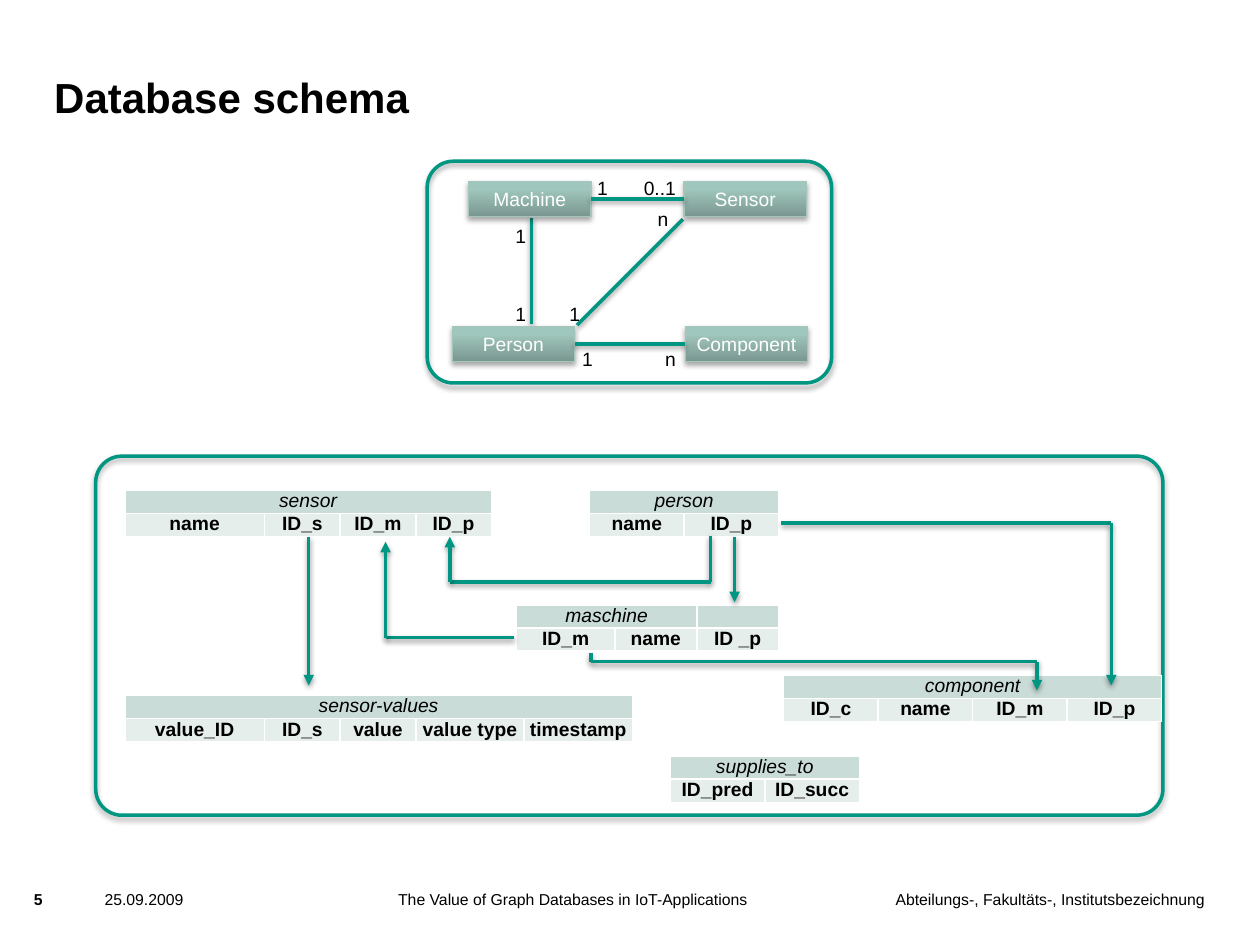
"""Build the database schema slide with an entity diagram and relational tables."""
import pptx
import pptx.dml.color
import pptx.enum.shapes
import pptx.enum.text
import pptx.oxml.ns
import pptx.util
from lxml import etree

Inches, Pt = pptx.util.Inches, pptx.util.Pt
qn = pptx.oxml.ns.qn
SHAPE = pptx.enum.shapes.MSO_SHAPE
STRAIGHT = pptx.enum.shapes.MSO_CONNECTOR.STRAIGHT
ALIGN = pptx.enum.text.PP_ALIGN
ANCHOR = pptx.enum.text.MSO_ANCHOR

COLORS = {
    "accent": "009682", "text": "000000", "white": "FFFFFF", "edge": "A5C5BD",
    "dark": "7A9790", "light": "A0C7BD", "header": "CADCD8", "field": "E6EEEC",
}
TITLE = "Database schema"
FOOTERS = [
    ("Abteilungs-, Fakultäts-, Institutsbezeichnung", 6.57, 2.99, ALIGN.RIGHT, False),
    ("25.09.2009", 0.83, 0.89, ALIGN.LEFT, False),
    ("The Value of Graph Databases in IoT-Applications", 3.16, 3.68, ALIGN.LEFT, False),
    ("5", 0.27, 0.14, ALIGN.LEFT, True),
]
FRAMES = [((3.39, 1.28, 3.21, 1.76), 0.118), ((0.76, 3.62, 8.47, 2.85), 0.073)]
ENTITY_SIZE = (0.97, 0.28)
ENTITIES = {
    "Machine": (3.72, 1.44), "Sensor": (5.43, 1.44),
    "Person": (3.59, 2.59), "Component": (5.44, 2.59),
}
RELATIONS = [("Machine", "Sensor"), ("Person", "Component")]
FREE_RELATIONS = [((4.22, 2.57), (4.22, 1.73)), ((4.58, 2.58), (5.42, 1.74))]
LABEL_SIZE = (0.2, 0.26)
CARDINALITIES = [
    ("1", 4.69, 1.35), ("0..1", 5.06, 1.35), ("1", 4.04, 1.73), ("1", 4.04, 2.35),
    ("1", 4.57, 2.71), ("n", 5.23, 2.71), ("1", 4.47, 2.35), ("n", 5.17, 1.6),
]
ROW_HEIGHT = 0.18
TABLES = [
    ("maschine", 4.1, 4.8, 2, [("ID_m", 0.78), ("name", 0.65), ("ID _p", 0.65)]),
    ("person", 4.68, 3.89, 2, [("name", 0.75), ("ID_p", 0.75)]),
    ("sensor", 0.99, 3.89, 4,
     [("name", 1.11), ("ID_s", 0.6), ("ID_m", 0.6), ("ID_p", 0.6)]),
    ("sensor-values", 0.99, 5.52, 5,
     [("value_ID", 1.11), ("ID_s", 0.6), ("value", 0.6),
      ("value type", 0.86), ("timestamp", 0.86)]),
    ("component", 6.22, 5.36, 4,
     [("ID_c", 0.75), ("name", 0.75), ("ID_m", 0.75), ("ID_p", 0.75)]),
    ("supplies_to", 5.32, 6, 2, [("ID_pred", 0.75), ("ID_succ", 0.75)]),
]
ARROW_ROUTES = [
    [(5.83, 4.26), (5.83, 4.78)],
    [(5.64, 4.25), (5.64, 4.62), (3.57, 4.62), (3.57, 4.26)],
    [(4.08, 5.06), (3.06, 5.06), (3.06, 4.3)],
    [(2.45, 4.26), (2.45, 5.44)],
    [(6.2, 4.15), (8.82, 4.15), (8.82, 5.44)],
    [(4.69, 5.18), (4.69, 5.25), (8.23, 5.25), (8.23, 5.48)],
]


def rgb(name):
    return pptx.dml.color.RGBColor.from_string(COLORS[name])


def inches(*lengths):
    return [Inches(length) for length in lengths]


def write(frame, text, size, color="text", align=ALIGN.CENTER, bold=False, italic=False):
    frame.text = text
    para = frame.paragraphs[0]
    para.alignment = align
    for span in para.runs:
        span.font.name, span.font.size = "Arial", Pt(size)
        span.font.bold, span.font.italic = bold, italic
        span.font.color.rgb = rgb(color)
    if not text:
        etree.SubElement(para._p, qn("a:endParaRPr"), sz=str(size * 100))


def set_margins(frame, margin):
    frame.margin_left = frame.margin_right = Inches(margin)
    frame.margin_top = frame.margin_bottom = Inches(margin)


def add_shadow(shape, distance, opacity):
    effects = etree.SubElement(shape._element.spPr, qn("a:effectLst"))
    shadow = etree.SubElement(
        effects, qn("a:outerShdw"), blurRad=str(Pt(3)), dist=str(Pt(distance)),
        dir="5400000", rotWithShape="0")
    color = etree.SubElement(shadow, qn("a:srgbClr"), val=COLORS["text"])
    etree.SubElement(color, qn("a:alpha"), val=str(opacity * 1000))


def add_line(page, start, end, arrow=False):
    line = page.shapes.add_connector(STRAIGHT, *inches(*start, *end))
    line.line.color.rgb, line.line.width = rgb("accent"), Pt(2)
    if arrow:
        etree.SubElement(line.line._get_or_add_ln(), qn("a:tailEnd"), type="triangle")
    add_shadow(line, 1.6, 38)
    return line


def add_text(page, text, place, size, margin, wrap, **style):
    box = page.shapes.add_textbox(*inches(*place))
    set_margins(box.text_frame, margin)
    box.text_frame.word_wrap = wrap
    write(box.text_frame, text, size, **style)


def add_frame(page, place, rounding):
    frame = page.shapes.add_shape(SHAPE.ROUNDED_RECTANGLE, *inches(*place))
    frame.adjustments[0] = rounding
    frame.fill.background()
    frame.line.color.rgb, frame.line.width = rgb("accent"), Pt(2)
    add_shadow(frame, 1.8, 35)


def add_entity(page, name, position):
    box = page.shapes.add_shape(SHAPE.RECTANGLE, *inches(*position, *ENTITY_SIZE))
    box.fill.gradient()
    box.fill.gradient_angle = 90
    for stop, color, position in zip(box.fill.gradient_stops, ("dark", "light"), (0, 0.8)):
        stop.color.rgb, stop.position = rgb(color), position
    box.line.color.rgb, box.line.width = rgb("edge"), Pt(0.75)
    add_shadow(box, 1.8, 35)
    set_margins(box.text_frame, 0.05)
    box.text_frame.vertical_anchor = ANCHOR.MIDDLE
    write(box.text_frame, name, 11, color="white")
    return box


def add_schema_table(page, name, left, top, header_span, fields):
    width = sum(width for _, width in fields)
    table = page.shapes.add_table(
        2, len(fields), *inches(left, top, width, 2 * ROW_HEIGHT)).table
    table.first_row = table.horz_banding = False
    for row in table.rows:
        row.height = Inches(ROW_HEIGHT)
    for index, (field, width) in enumerate(fields):
        table.columns[index].width = Inches(width)
        for row, text in enumerate((name if index == 0 else "", field)):
            cell = table.cell(row, index)
            set_margins(cell, 0)
            cell.fill.solid()
            cell.fill.fore_color.rgb = rgb(("header", "field")[row])
            write(cell.text_frame, text, 11, bold=row == 1, italic=row == 0)
    table.cell(0, 0).merge(table.cell(0, header_span - 1))


def main():
    deck = pptx.Presentation()
    deck.slide_width, deck.slide_height = inches(10, 7.5)
    page = deck.slides.add_slide(deck.slide_layouts[5])
    title = page.shapes.title
    title.left, title.top, title.width, title.height = inches(0.43, 0.36, 7.56, 0.61)
    set_margins(title.text_frame, 0)
    title.text_frame.vertical_anchor = ANCHOR.BOTTOM
    write(title.text_frame, TITLE, 24, align=ALIGN.LEFT, bold=True)

    for text, left, width, align, bold in FOOTERS:
        add_text(page, text, (left, 7.06, width, 0.14), 9, 0, not bold,
                 align=align, bold=bold)
    for place, rounding in FRAMES:
        add_frame(page, place, rounding)
    for start, end in FREE_RELATIONS:
        add_line(page, start, end)
    boxes = {name: add_entity(page, name, place) for name, place in ENTITIES.items()}
    for source, target in RELATIONS:
        line = add_line(page, ENTITIES[source], ENTITIES[target])
        line.begin_connect(boxes[source], 3)
        line.end_connect(boxes[target], 1)
    for text, left, top in CARDINALITIES:
        width = 0.37 if len(text) > 1 else LABEL_SIZE[0]
        add_text(page, text, (left, top, width, LABEL_SIZE[1]), 11, 0.05, False,
                 align=ALIGN.LEFT)
    for table in TABLES:
        add_schema_table(page, *table)
    for route in ARROW_ROUTES:
        for start, end in zip(route, route[1:]):
            add_line(page, start, end, arrow=end == route[-1])
    deck.save("out.pptx")


if __name__ == "__main__":
    main()
